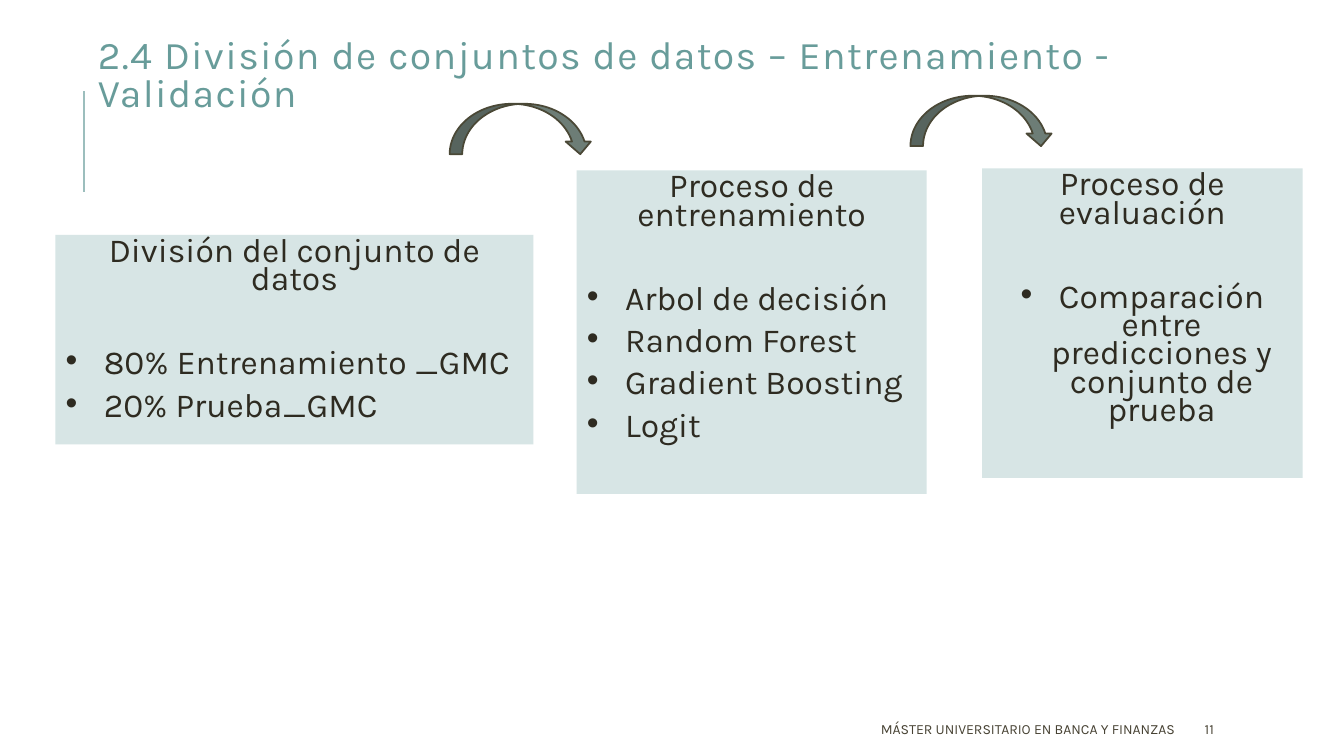
from dataclasses import dataclass

from lxml import etree
from pptx import Presentation
from pptx import util as u
from pptx.dml.color import RGBColor
from pptx.enum import shapes, text
from pptx.oxml import ns

COLORS = {
    "title": "689C9A",
    "body": "2E2B21",
    "footer": "474233",
    "panel": "D7E5E5",
    "rule": "9CBEBD",
    "arrow": "6D7D76",
    "arrow_line": "4A4836",
}
FONT = "Karla"
INDENT = u.Inches(0.38)
LEFT, CENTER, RIGHT = text.PP_ALIGN.LEFT, text.PP_ALIGN.CENTER, text.PP_ALIGN.RIGHT
TITLE_FORMAT = {"alignment": LEFT, "line_spacing": 0.8, "space_after": u.Pt(2)}
PANEL_FORMAT = {"line_spacing": 0.7, "space_before": u.Pt(10), "space_after": u.Pt(0)}
LIST_GAP = u.Pt(40)


@dataclass(frozen=True)
class Box:
    left: float
    top: float
    width: float
    height: float

    def lengths(self) -> list:
        return [u.Inches(side) for side in (self.left, self.top, self.width, self.height)]


@dataclass(frozen=True)
class Panel:
    box: Box
    heading: str
    items: tuple
    alignment: text.PP_ALIGN = LEFT


@dataclass(frozen=True)
class FooterText:
    box: Box
    words: str
    alignment: text.PP_ALIGN


TITLE = "2.4 División de conjuntos de datos – Entrenamiento - Validación"
TITLE_BOX = Box(0.92, 0.34, 11.5, 0.5)
PANELS = (
    Panel(Box(0.55, 2.33, 4.74, 2.08), "División del conjunto de datos",
          ("80% Entrenamiento _GMC", "20% Prueba_GMC")),
    Panel(Box(5.72, 1.69, 3.47, 3.21), "Proceso de entrenamiento",
          ("Arbol de decisión", "Random Forest", "Gradient Boosting", "Logit")),
    Panel(Box(9.74, 1.67, 3.18, 3.07), "Proceso de evaluación",
          ("Comparación entre predicciones y conjunto de prueba",), CENTER),
)
ARROWS = (Box(4.46, 1.03, 1.42, 0.5), Box(9.03, 0.95, 1.42, 0.5))
FOOTERS = (
    FooterText(Box(5.3, 7.08, 6.45, 0.3), "MÁSTER UNIVERSITARIO EN BANCA Y FINANZAS", RIGHT),
    FooterText(Box(11.85, 7.08, 1.06, 0.3), "11", LEFT),
)


def color(name: str) -> RGBColor:
    return RGBColor.from_string(COLORS[name])


def apply(target, values: dict) -> None:
    for name, value in values.items():
        setattr(target, name, value)


def place(shape, box: Box) -> None:
    apply(shape, dict(zip(("left", "top", "width", "height"), box.lengths())))


def prepare_frame(shape, anchor: text.MSO_ANCHOR):
    frame = shape.text_frame
    apply(frame, {"word_wrap": True, "auto_size": text.MSO_AUTO_SIZE.NONE,
                  "vertical_anchor": anchor})
    return frame


def write(paragraph, words: str, size: int, color_name: str, values: dict):
    apply(paragraph, values)
    run = paragraph.add_run()
    run.text = words
    apply(run.font, {"name": FONT, "size": u.Pt(size), "bold": False})
    run.font.color.rgb = color(color_name)
    return run


def set_bullet(paragraph, bulleted: bool) -> None:
    properties = paragraph._p.get_or_add_pPr()
    margin = INDENT if bulleted else 0
    properties.set("marL", str(margin))
    properties.set("indent", str(-margin))
    if bulleted:
        etree.SubElement(properties, ns.qn("a:buFont"), typeface="Arial")
        etree.SubElement(properties, ns.qn("a:buChar"), char="•")
    else:
        etree.SubElement(properties, ns.qn("a:buNone"))


def draw_title(shape) -> None:
    place(shape, TITLE_BOX)
    frame = prepare_frame(shape, text.MSO_ANCHOR.TOP)
    sides = ("margin_left", "margin_top", "margin_right", "margin_bottom")
    apply(frame, dict.fromkeys(sides, u.Inches(0.05)))
    run = write(frame.paragraphs[0], TITLE, 28, "title", TITLE_FORMAT)
    run._r.get_or_add_rPr().set("spc", "100")


def draw_panel(shape, panel: Panel) -> None:
    place(shape, panel.box)
    shape.fill.solid()
    shape.fill.fore_color.rgb = color("panel")
    frame = prepare_frame(shape, text.MSO_ANCHOR.TOP)
    heading = frame.paragraphs[0]
    write(heading, panel.heading, 24, "body", {**PANEL_FORMAT, "alignment": CENTER})
    set_bullet(heading, False)
    for index, item in enumerate(panel.items):
        values = {**PANEL_FORMAT, "alignment": panel.alignment}
        if index == 0:
            values["space_before"] = LIST_GAP
        paragraph = frame.add_paragraph()
        write(paragraph, item, 24, "body", values)
        set_bullet(paragraph, True)


def draw_arrow(slide, box: Box) -> None:
    arrow = slide.shapes.add_shape(shapes.MSO_SHAPE.CURVED_DOWN_ARROW, *box.lengths())
    arrow.shadow.inherit = False
    arrow.fill.solid()
    arrow.fill.fore_color.rgb = color("arrow")
    arrow.line.color.rgb = color("arrow_line")
    arrow.line.width = u.Pt(1.25)


def draw_rule(slide) -> None:
    ends = [u.Inches(value) for value in (0.83, 1.9, 0.83, 0.9)]
    rule = slide.shapes.add_connector(shapes.MSO_CONNECTOR.STRAIGHT, *ends)
    rule.line.color.rgb = color("rule")
    rule.line.width = u.Pt(1.5)
    etree.SubElement(rule._element.spPr, ns.qn("a:effectLst"))


def draw_footer(slide, footer: FooterText) -> None:
    shape = slide.shapes.add_textbox(*footer.box.lengths())
    frame = prepare_frame(shape, text.MSO_ANCHOR.MIDDLE)
    write(frame.paragraphs[0], footer.words, 10, "footer", {"alignment": footer.alignment})


def main() -> None:
    """Build the slide on dividing data into training and validation sets."""
    presentation = Presentation()
    presentation.slide_width = u.Inches(13.33)
    presentation.slide_height = u.Inches(7.5)
    comparison_layout = presentation.slide_layouts[4]
    slide = presentation.slides.add_slide(comparison_layout)
    draw_rule(slide)
    for footer in FOOTERS:
        draw_footer(slide, footer)
    title, *bodies = slide.placeholders
    draw_title(title)
    for body, panel in zip(bodies, PANELS):
        draw_panel(body, panel)
    for unused in bodies[len(PANELS):]:
        unused._element.getparent().remove(unused._element)
    for box in ARROWS:
        draw_arrow(slide, box)
    presentation.save("out.pptx")


if __name__ == "__main__":
    main()
